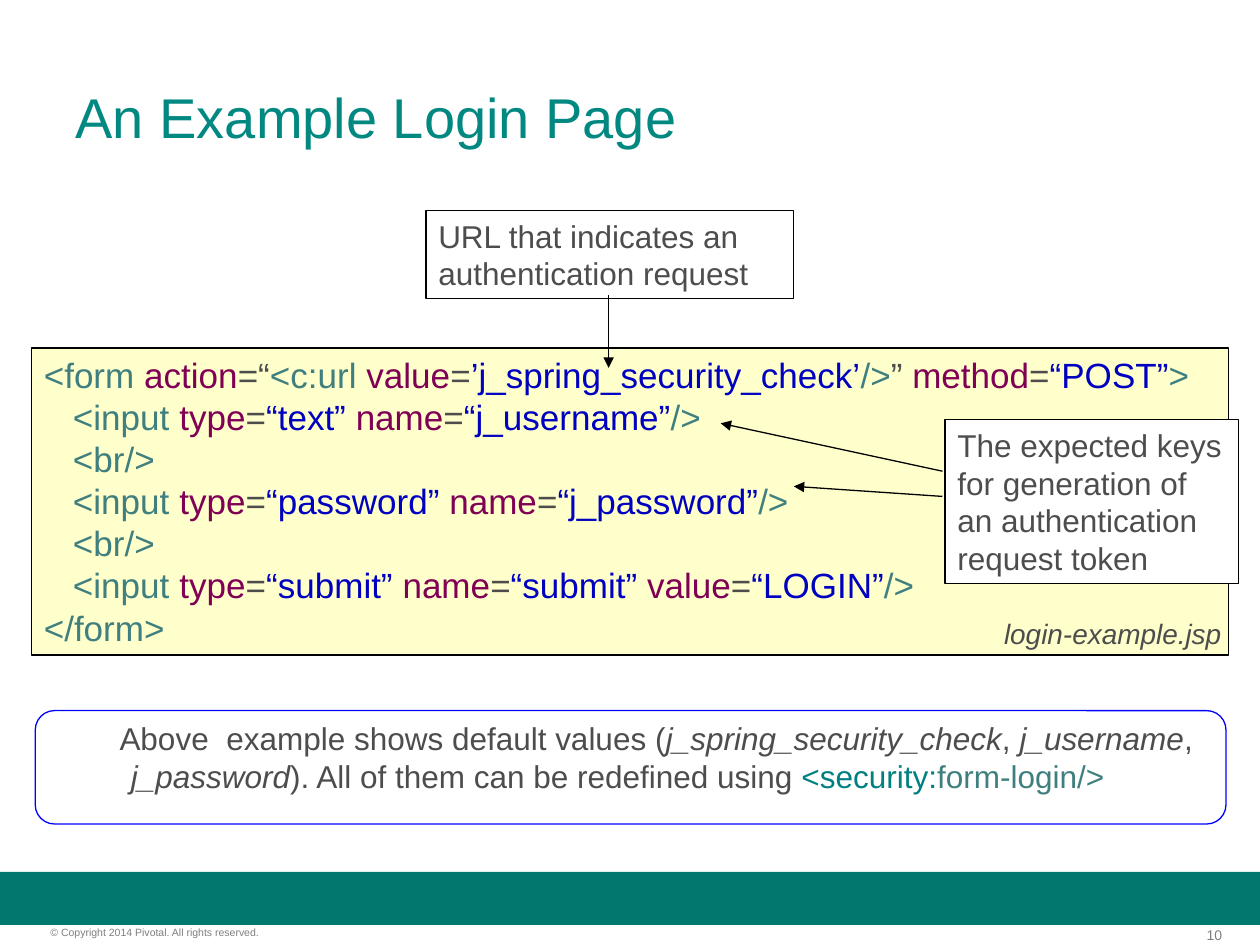
from lxml import etree
from pptx import Presentation
from pptx import util as u
from pptx.dml.color import RGBColor
from pptx.enum import shapes, text
from pptx.oxml.ns import qn

GREY, TAG, ATTR, VALUE = "4D4D4D", "3F7F7F", "7F0055", "0000C0"
BLACK, WHITE, FOOTER = "000000", "FFFFFF", "7F7F7F"


def rgb(value):
    return RGBColor.from_string(value)


def box(*lengths):
    return [u.Inches(v) for v in lengths]


class Deck:
    """Holds the style and the current slide."""
    font = "Arial"

    def __init__(self, prs):
        self.s = prs.slides.add_slide(prs.slide_layouts[5])

    def fill_text(self, sp, paragraphs, size, inset=(0.1, 0.05), indents=(),
                  align=text.PP_ALIGN.LEFT, anchor=text.MSO_ANCHOR.TOP):
        """Each paragraph is a list of (text, colour[, italic]) runs."""
        tf = sp.text_frame
        tf.word_wrap = True
        tf.auto_size = text.MSO_AUTO_SIZE.NONE
        tf.vertical_anchor = anchor
        tf.margin_left = tf.margin_right = u.Inches(inset[0])
        tf.margin_top = tf.margin_bottom = u.Inches(inset[1])
        for i, runs in enumerate(paragraphs):
            p = tf.add_paragraph() if i else tf.paragraphs[0]
            p.alignment = align
            if indents:
                p._p.get_or_add_pPr().set("marL", str(u.Inches(indents[i])))
            for content, color, *italic in runs:
                r = p.add_run()
                r.text = content
                r.font.name, r.font.size = self.font, u.Pt(size)
                r.font.italic = bool(italic)
                r.font.color.rgb = rgb(color)

    def title(self, at, content, size, color):
        sp = self.s.shapes.title
        sp.left, sp.top, sp.width, sp.height = box(*at)
        self.fill_text(sp, [[(content, color)]], size,
                       anchor=text.MSO_ANCHOR.MIDDLE)

    def label(self, at, paragraphs, size, **layout):
        self.fill_text(self.s.shapes.add_textbox(*box(*at)), paragraphs, size,
                       **layout)

    def shape(self, at, fill=None, line=None, width=0.75,
              kind=shapes.MSO_SHAPE.RECTANGLE):
        sp = self.s.shapes.add_shape(kind, *box(*at))
        sp.shadow.inherit = False
        if fill:
            sp.fill.solid()
            sp.fill.fore_color.rgb = rgb(fill)
        else:
            sp.fill.background()
        if line:
            sp.line.color.rgb = rgb(line)
            sp.line.width = u.Pt(width)
        else:
            sp.line.fill.background()
        return sp

    def callout(self, at, content):
        self.fill_text(self.shape(at, WHITE, BLACK), [[(content, GREY)]], 18)

    def arrow(self, start, end):
        c = self.s.shapes.add_connector(shapes.MSO_CONNECTOR.STRAIGHT,
                                        *box(*start, *end))
        c.line.color.rgb = rgb(BLACK)
        c.line.width = u.Pt(0.75)
        etree.SubElement(c.get_or_add_ln(), qn("a:tailEnd"), type="triangle")
        etree.SubElement(c._element.spPr, qn("a:effectLst"))


def attr(name, value):
    return [(name, ATTR), ("=", GREY), (value, VALUE)]


def input_line(kind, **attributes):
    runs = [("   <input ", TAG)] + attr("type", f"“{kind}” ")
    names = list(attributes)
    for name in names:
        gap = "" if name == names[-1] else " "
        runs += attr(name, f"“{attributes[name]}”{gap}")
    return runs + [("/>", TAG)]


def main():
    prs = Presentation()
    prs.slide_width, prs.slide_height = box(10, 7.5)
    d = Deck(prs)

    # Footer band, page number and copyright
    d.shape((0, 6.92, 10, 0.42), "00786E")
    d.label((9.12, 7.35, 0.58, 0.13), [[("10", FOOTER)]], 8, inset=(0, 0),
            align=text.PP_ALIGN.RIGHT)
    d.label((0.4, 7.35, 2.49, 0.1),
            [[("© Copyright 2014 Pivotal. All rights reserved.", FOOTER)]],
            6, inset=(0, 0))

    d.title((0.5, 0.3, 9, 1.25), "An Example Login Page", 32, "008881")

    # Code listing
    line_break = [("   <br/>", TAG)]
    code = [
        [("<form ", TAG), ("action", ATTR), ("=“", GREY), ("<c:url ", TAG),
         *attr("value", "’j_spring_security_check’"), ("/>", TAG),
         ("” ", GREY), *attr("method", "“POST”"), (">", TAG)],
        input_line("text", name="j_username"),
        line_break,
        input_line("password", name="j_password"),
        line_break,
        input_line("submit", name="submit", value="LOGIN"),
        [("</form>", TAG)],
    ]
    d.fill_text(d.shape((0.25, 2.76, 9.5, 2.44), "FFFFCC", BLACK, 1), code, 20)

    # Callouts with their arrows
    d.callout((7.5, 3.33, 2.33, 1.3), "The expected keys for generation of "
              "an authentication request token")
    d.arrow((7.48, 3.74), (5.72, 3.36))
    d.arrow((7.48, 3.94), (6.3, 3.86))
    d.callout((3.38, 1.67, 2.92, 0.7),
              "URL that indicates an authentication request")
    d.arrow((4.83, 2.34), (4.83, 2.92))

    # Note on default values
    frame = d.shape((0.28, 5.64, 9.45, 0.9), line="0000FF", width=0,
                    kind=shapes.MSO_SHAPE.ROUNDED_RECTANGLE)
    frame.adjustments[0] = 0.17
    note = [
        [("Above  example shows default values (", GREY),
         ("j_spring_security_check", GREY, True), (", ", GREY),
         ("j_username", GREY, True), (",", GREY)],
        [("j_password", GREY, True),
         ("). All of them can be redefined using ", GREY),
         ("<security:", "008080"), ("form-login/>", TAG)],
    ]
    d.label((0.2, 5.66, 9.65, 0.84), note, 18, indents=(0.65, 0.74))

    # File name of the listing
    d.label((7.87, 4.84, 2.05, 0.38),
            [[("login-example.jsp", GREY, True)]], 16)

    prs.save("out.pptx")


if __name__ == "__main__":
    main()
